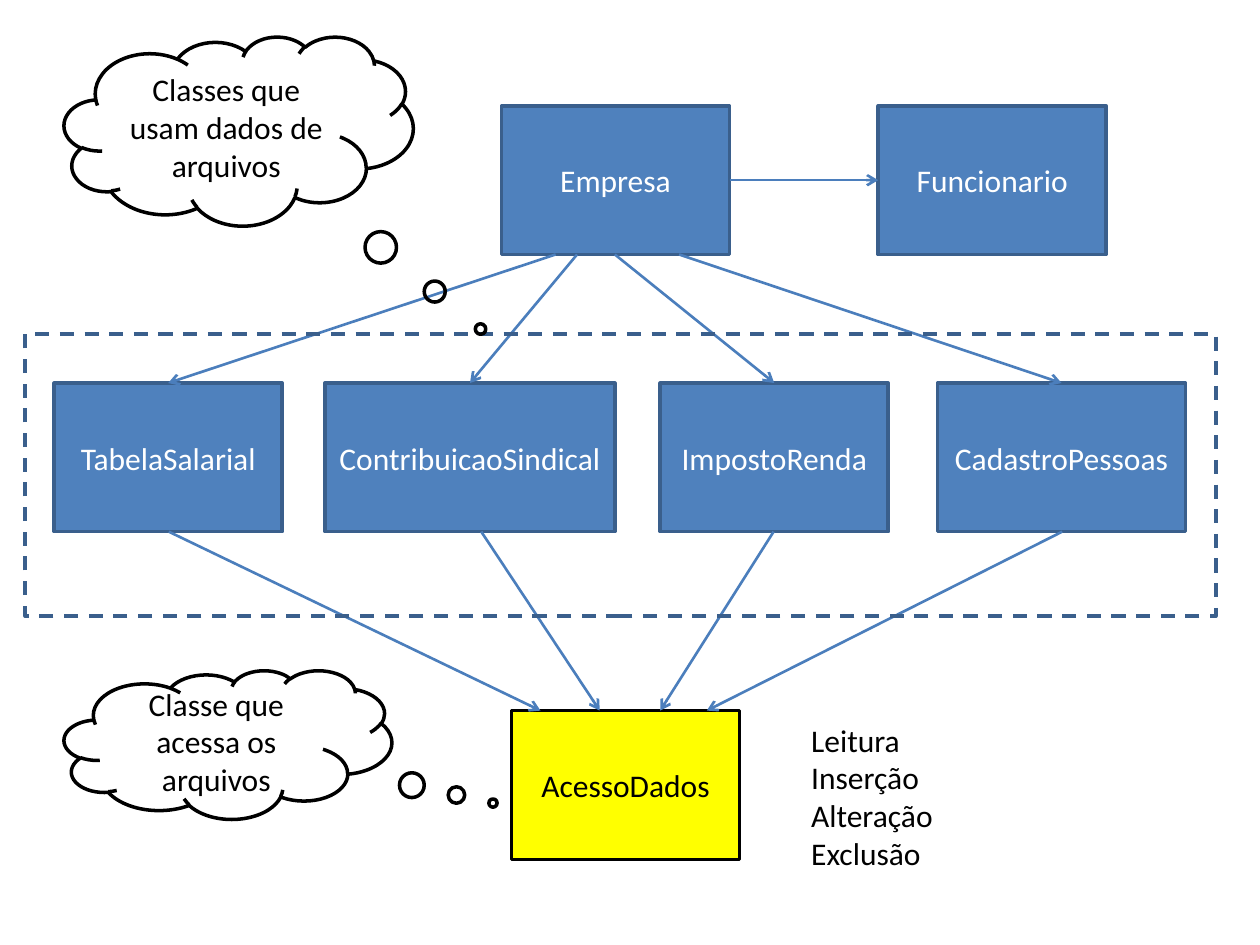
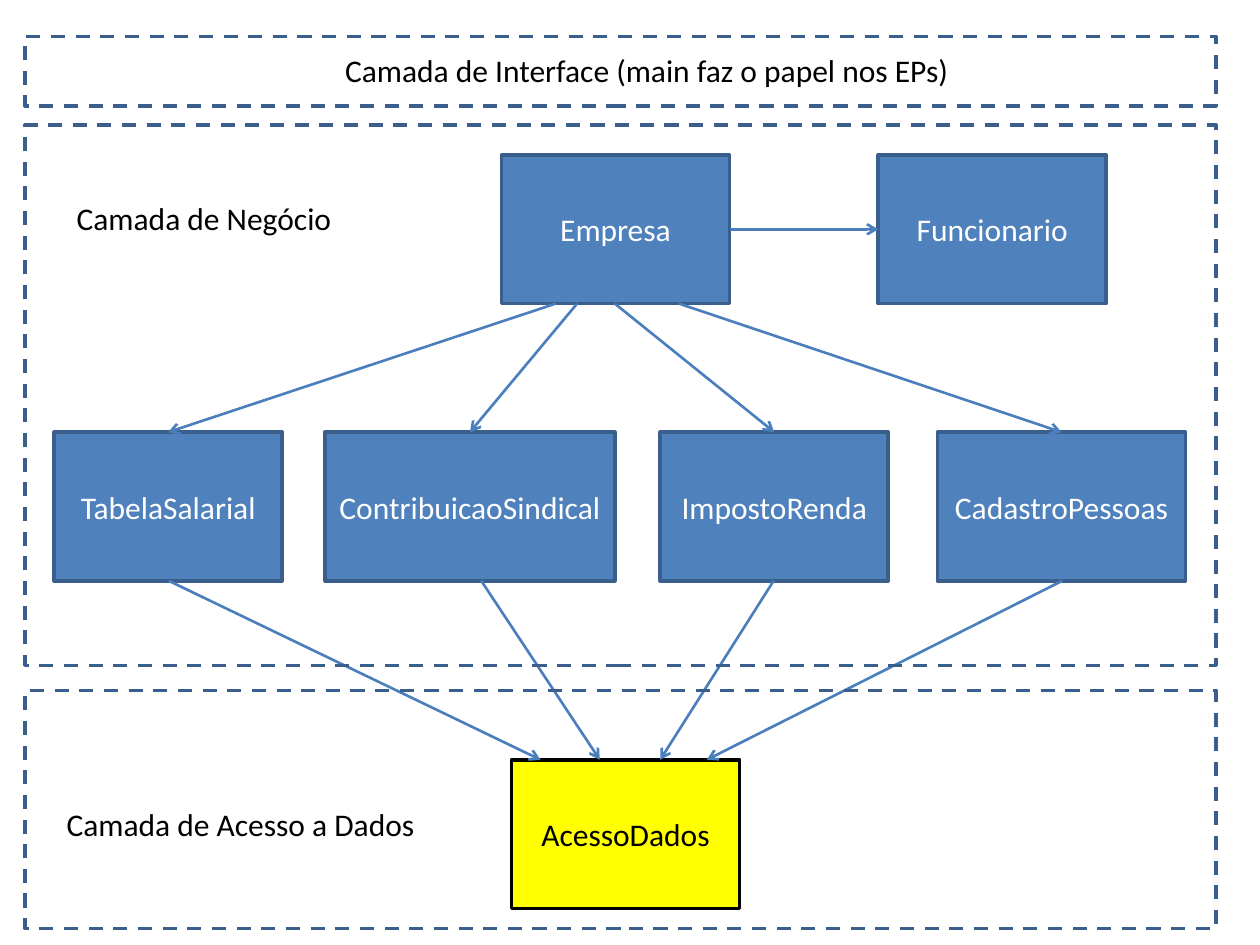
from lxml.etree import SubElement
from pptx import Presentation
from pptx.dml.color import RGBColor
from pptx.enum.dml import MSO_LINE as Dash
from pptx.enum.shapes import MSO_CONNECTOR as Conn, MSO_SHAPE as Shape
from pptx.enum.text import MSO_ANCHOR as Anchor, MSO_AUTO_SIZE as Fit, PP_ALIGN as Align
from pptx.oxml.ns import qn
from pptx.util import Inches, Pt

THEME = dict(font="Calibri", size=18, black="000000", white="FFFFFF", blue="4F81BD",
             edge="3A5F8C", arrow="4B7EBC", yellow="FFFF00", outline=2, arrow_width=1.5)

# Class diagram: (name, left, width); y offsets run from the top of the first row
BOX_H = 1.18
ROW_Y = {"top": 0, "middle": 2.2, "bottom": 4.8}
TOP = [("Empresa", 3.98, 1.81), ("Funcionario", 6.97, 1.81)]
MIDDLE = [("TabelaSalarial", 0.43, 1.81), ("ContribuicaoSindical", 2.58, 2.3),
          ("ImpostoRenda", 5.24, 1.81), ("CadastroPessoas", 7.44, 1.97)]
DATA = ("AcessoDados", 4.06, 1.81)
# x where each middle class is left from Empresa, left downwards, and reaches DATA
ARROW_X = [(4.41, 1.34, 4.29), (4.58, 3.82, 4.76), (4.88, 6.14, 5.24), (5.39, 8.43, 5.61)]

# Dashed frames share left and width: (top, height)
FRAME_X, FRAME_W = 0.2, 9.45
SLIDES = [
    dict(top=0.84, frames=[(2.65, 2.24)],
         clouds=[("Classe que acessa os arquivos", (0.51, 5.32, 2.6, 1.18), (0.809, 0.393)),
                 ("Classes que usam dados de arquivos", (0.51, 0.29, 2.77, 1.5), (0.693, 1.048))],
         labels=[(["Leitura", "Inserção", "Alteração", "Exclusão"],
                  (6.34, 5.67, 1.5, 1.31), True)]),
    dict(top=1.23, frames=[(0.99, 4.29), (0.29, 0.55), (5.48, 1.89)],
         clouds=[],
         labels=[(["Camada de Interface (main faz o papel nos EPs)"],
                  (2.64, 0.36, 5.05, 0.4), False),
                 (["Camada de Negócio"], (0.51, 1.53, 2.25, 0.4), False),
                 (["Camada de Acesso a Dados"], (0.43, 6.34, 3, 0.4), False)]),
]


def rgb(name):
    return RGBColor.from_string(THEME[name])


def inches(values):
    return [Inches(v) for v in values]


def write(tf, lines, color, align, **frame):
    for key, value in frame.items():
        setattr(tf, key, value)
    for i, line in enumerate(lines):
        p = tf.paragraphs[0] if i == 0 else tf.add_paragraph()
        p.alignment = align
        r = p.add_run()
        r.text = line
        for key, value in dict(name=THEME["font"], size=Pt(THEME["size"])).items():
            setattr(r.font, key, value)
        r.font.color.rgb = rgb(color)


def add_shape(slide, kind, at, line, fill=None, text=None, color="black"):
    sp = slide.shapes.add_shape(kind, *inches(at))
    sp.shadow.inherit = False
    if fill:
        sp.fill.solid()
        sp.fill.fore_color.rgb = rgb(fill)
    else:
        sp.fill.background()
    sp.line.color.rgb = rgb(line)
    sp.line.width = Pt(THEME["outline"])
    if text:
        write(sp.text_frame, [text], color, Align.CENTER,
              word_wrap=True, vertical_anchor=Anchor.MIDDLE)
    return sp


def add_box(slide, item, y, fill="blue", line="edge", color="white"):
    name, x, w = item
    return add_shape(slide, Shape.RECTANGLE, (x, y, w, BOX_H), line, fill, name, color)


def add_arrow(slide, start, end):
    cx = slide.shapes.add_connector(Conn.STRAIGHT, *inches(start + end))
    cx.line.color.rgb = rgb("arrow")
    cx.line.width = Pt(THEME["arrow_width"])
    SubElement(cx.line._get_or_add_ln(), qn("a:tailEnd"), type="arrow")
    SubElement(cx._element.spPr, qn("a:effectLst"))
    return cx


def add_diagram(slide, top):
    y = {row: top + offset for row, offset in ROW_Y.items()}
    below = {row: v + BOX_H for row, v in y.items()}

    # Classes
    company, employee = [add_box(slide, item, y["top"]) for item in TOP]
    middle = [add_box(slide, item, y["middle"]) for item in MIDDLE]
    add_box(slide, DATA, y["bottom"], "yellow", "black", "black")

    # Dependencies
    mid = y["top"] + BOX_H / 2
    cx = add_arrow(slide, (TOP[0][1] + TOP[0][2], mid), (TOP[1][1], mid))
    cx.begin_connect(company, 3)
    cx.end_connect(employee, 1)
    for sp, (_, x, w), (leave, down, reach) in zip(middle, MIDDLE, ARROW_X):
        cx = add_arrow(slide, (leave, below["top"]), (x + w / 2, y["middle"]))
        cx.end_connect(sp, 0)
        add_arrow(slide, (down, below["middle"]), (reach, y["bottom"]))


prs = Presentation()
prs.slide_width, prs.slide_height = Inches(10), Inches(7.5)

for content in SLIDES:
    slide = prs.slides.add_slide(prs.slide_layouts[6])
    add_diagram(slide, content["top"])

    # Layer frames
    for y, h in content["frames"]:
        sp = add_shape(slide, Shape.RECTANGLE, (FRAME_X, y, FRAME_W, h), "edge")
        sp.line.dash_style = Dash.DASH

    # Thought clouds
    for text, at, tail in content["clouds"]:
        sp = add_shape(slide, Shape.CLOUD_CALLOUT, at, "black", text=text)
        for i, value in enumerate(tail):
            sp.adjustments[i] = value

    # Plain labels
    for lines, at, wrap in content["labels"]:
        tb = slide.shapes.add_textbox(*inches(at))
        write(tb.text_frame, lines, "black", Align.LEFT,
              word_wrap=wrap, auto_size=Fit.SHAPE_TO_FIT_TEXT)

prs.save("out.pptx")
